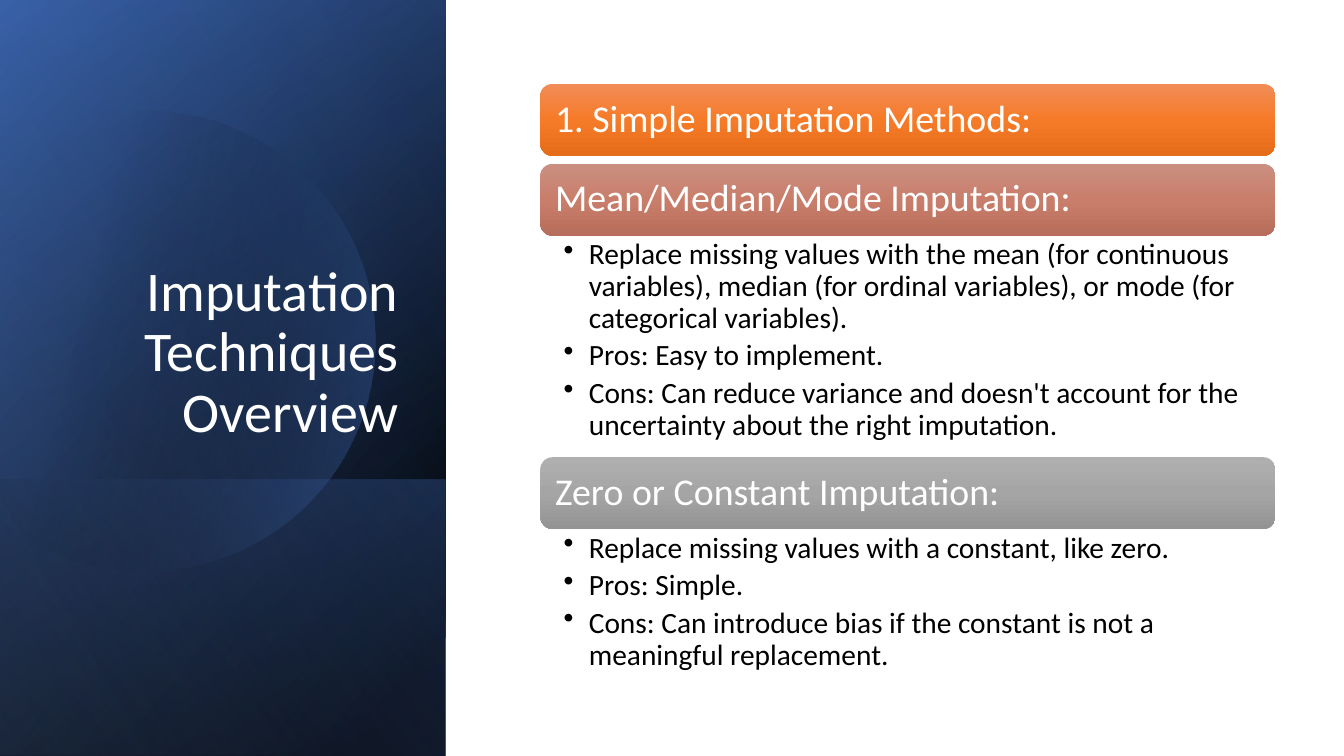
from dataclasses import dataclass

from pptx import Presentation
from pptx.dml.color import RGBColor
from pptx.enum.shapes import MSO_SHAPE as Shape
from pptx.enum.text import MSO_ANCHOR as Anchor, PP_ALIGN as Align
from pptx.oxml import parse_xml
from pptx.oxml.ns import nsdecls, qn
from pptx.util import Pt

FONT = "Calibri"
BLACK = RGBColor(0x00, 0x00, 0x00)
WHITE = RGBColor(0xFF, 0xFF, 0xFF)
NAVY = RGBColor(0x2F, 0x55, 0x97)
BLUE = RGBColor(0x44, 0x72, 0xC4)
PALE_BLUE = RGBColor(0x8F, 0xAA, 0xDC)
ORANGE = [RGBColor(0xF1, 0x8C, 0x57), RGBColor(0xF6, 0x7B, 0x28), RGBColor(0xE5, 0x6C, 0x19)]
ROSE = [RGBColor(0xCB, 0x8F, 0x81), RGBColor(0xC9, 0x7E, 0x6B), RGBColor(0xB7, 0x6D, 0x5B)]
GRAY = [RGBColor(0xAF, 0xAF, 0xAF), RGBColor(0xA5, 0xA5, 0xA5), RGBColor(0x93, 0x93, 0x93)]

LIST_LEFT, LIST_WIDTH, HEADER_HEIGHT = 386, 525, 51.2


@dataclass
class Stop:
    position: int
    color: RGBColor
    alpha: int = 100


@dataclass
class Panel:
    left: float
    top: float
    width: float
    height: float
    angle: float
    stops: list[Stop]


@dataclass
class Section:
    top: float
    heading: str
    colors: list[RGBColor]
    bullets: list[str]
    body_height: float = 0


PANELS_BELOW = [
    Panel(-110.8, 110.8, 540, 318.4, 50, [Stop(8, BLACK), Stop(100, NAVY)]),
    Panel(-110.8, 110.8, 540, 318.4, 30, [Stop(0, BLACK, 0), Stop(99, BLUE, 46)]),
    Panel(60.5, 282.2, 197.4, 318.4, 130, [Stop(2, BLUE, 29), Stop(100, BLACK, 30)]),
]
PANEL_ABOVE = Panel(-110.8, 110.8, 540, 318.4, 120,
                    [Stop(0, BLACK, 0), Stop(99, PALE_BLUE, 11)])

# Disc outline: start point, then cubic segments (two handles and an end) or line ends
DISC_START = (107.3, 79.2)
DISC_SEGMENTS = [
    [(177.1, 80.6), (241.2, 127.4), (261.4, 198)],
    [(286.6, 285.8), (236.2, 376.6), (149, 401.8)],
    [(94.3, 417.6), (38.2, 403.9), (-2.2, 370.1)],
    [(-10.8, 362.2)],
    [(-10.8, 126)],
    [(0, 115.9)],
    [(16.6, 102.2), (36, 92.2), (57.6, 85.7)],
    [(74.2, 81.4), (90.7, 79.2), (107.3, 79.2)],
]

SECTIONS = [
    Section(60, "1. Simple Imputation Methods:", ORANGE, []),
    Section(117.1, "Mean/Median/Mode Imputation:", ROSE, [
        "Replace missing values with the mean (for continuous variables), "
        "median (for ordinal variables), or mode (for categorical variables).",
        "Pros: Easy to implement.",
        "Cons: Can reduce variance and doesn't account for the uncertainty "
        "about the right imputation.",
    ], 158.4),
    Section(326.6, "Zero or Constant Imputation:", GRAY, [
        "Replace missing values with a constant, like zero.",
        "Pros: Simple.",
        "Cons: Can introduce bias if the constant is not a meaningful replacement.",
    ], 110.2),
]


def set_gradient(sp, stops: list[Stop], angle: float) -> None:
    """Give a shape a linear gradient, with no line and no shadow."""
    sp.shadow.inherit = False
    sp.line.fill.background()
    sp.fill.background()
    marks = "".join(
        f'<a:gs pos="{s.position * 1000}"><a:srgbClr val="{s.color}">'
        f'<a:alpha val="{s.alpha * 1000}"/></a:srgbClr></a:gs>' for s in stops)
    gradient = parse_xml(
        f'<a:gradFill {nsdecls("a")} rotWithShape="1"><a:gsLst>{marks}</a:gsLst>'
        f'<a:lin ang="{round(angle * 60000)}" scaled="0"/></a:gradFill>')
    properties = sp._element.spPr
    properties.replace(properties.find(qn("a:noFill")), gradient)


def add_panel(shapes, panel: Panel) -> None:
    sp = shapes.add_shape(Shape.RECTANGLE, Pt(panel.left), Pt(panel.top),
                          Pt(panel.width), Pt(panel.height))
    sp.rotation = 90
    sp._element.spPr.find(qn("a:xfrm")).set("flipH", "1")
    set_gradient(sp, panel.stops, panel.angle)


def curve_points(points: list[tuple], steps: int = 24) -> list[tuple]:
    """Sample a cubic curve given by its start, two handles and end."""
    result = []
    for i in range(1, steps + 1):
        t = i / steps
        weights = ((1 - t) ** 3, 3 * t * (1 - t) ** 2, 3 * t * t * (1 - t), t ** 3)
        result.append(tuple(sum(w * p[axis] for w, p in zip(weights, points))
                            for axis in (0, 1)))
    return result


def add_disc(shapes) -> None:
    outline = [DISC_START]
    for segment in DISC_SEGMENTS:
        outline += curve_points([outline[-1], *segment]) if len(segment) == 3 else segment
    (x, y), *rest = [(Pt(px), Pt(py)) for px, py in outline]
    builder = shapes.build_freeform(x, y)
    builder.add_line_segments(rest, close=True)
    set_gradient(builder.convert_to_shape(), [Stop(29, BLACK, 0), Stop(100, BLUE, 43)], 13.9)


def set_frame(tf, anchor: Anchor, left: float, top: float, right: float, bottom: float) -> None:
    tf.word_wrap = True
    tf.vertical_anchor = anchor
    tf.margin_left, tf.margin_top = Pt(left), Pt(top)
    tf.margin_right, tf.margin_bottom = Pt(right), Pt(bottom)


def write(p, text: str, size: float, color: RGBColor, align: Align = Align.LEFT) -> None:
    p.text = text
    p.alignment = align
    p.line_spacing = 0.9
    p.font.name, p.font.size = FONT, Pt(size)
    p.font.color.rgb = color


def add_title(shapes) -> None:
    tf = shapes.add_textbox(Pt(46), Pt(132.5), Pt(245.5), Pt(188.6)).text_frame
    set_frame(tf, Anchor.BOTTOM, 7.2, 3.6, 7.2, 3.6)
    write(tf.paragraphs[0], "Imputation Techniques Overview", 40, WHITE, Align.RIGHT)


def add_section(shapes, section: Section) -> None:
    # Heading bar
    sp = shapes.add_shape(Shape.ROUNDED_RECTANGLE, Pt(LIST_LEFT), Pt(section.top),
                          Pt(LIST_WIDTH), Pt(HEADER_HEIGHT))
    set_gradient(sp, [Stop(50 * i, c) for i, c in enumerate(section.colors)], 90)
    set_frame(sp.text_frame, Anchor.MIDDLE, 8, 8, 8, 8)
    write(sp.text_frame.paragraphs[0], section.heading, 27, WHITE)
    if not section.bullets:
        return
    # Bullets below it
    tf = shapes.add_textbox(Pt(LIST_LEFT), Pt(section.top + HEADER_HEIGHT),
                            Pt(LIST_WIDTH), Pt(section.body_height)).text_frame
    set_frame(tf, Anchor.TOP, 16.6, 2.7, 15, 2.7)
    for i, text in enumerate(section.bullets):
        p = tf.add_paragraph() if i else tf.paragraphs[0]
        write(p, text, 21, BLACK)
        p.space_after = Pt(4.2)
        properties = p._p.get_or_add_pPr()
        properties.set("marL", str(Pt(18)))
        properties.set("indent", str(-Pt(18)))
        bullet = parse_xml(f'<a:buChar {nsdecls("a")} char="•"/>')
        properties.find(qn("a:defRPr")).addprevious(bullet)


def main() -> None:
    prs = Presentation()
    prs.slide_width, prs.slide_height = Pt(960), Pt(540)
    shapes = prs.slides.add_slide(prs.slide_layouts[6]).shapes

    # Dark side panel
    for panel in PANELS_BELOW:
        add_panel(shapes, panel)
    add_disc(shapes)
    add_panel(shapes, PANEL_ABOVE)
    add_title(shapes)

    # Imputation methods
    for section in SECTIONS:
        add_section(shapes, section)

    prs.save("out.pptx")


if __name__ == "__main__":
    main()
